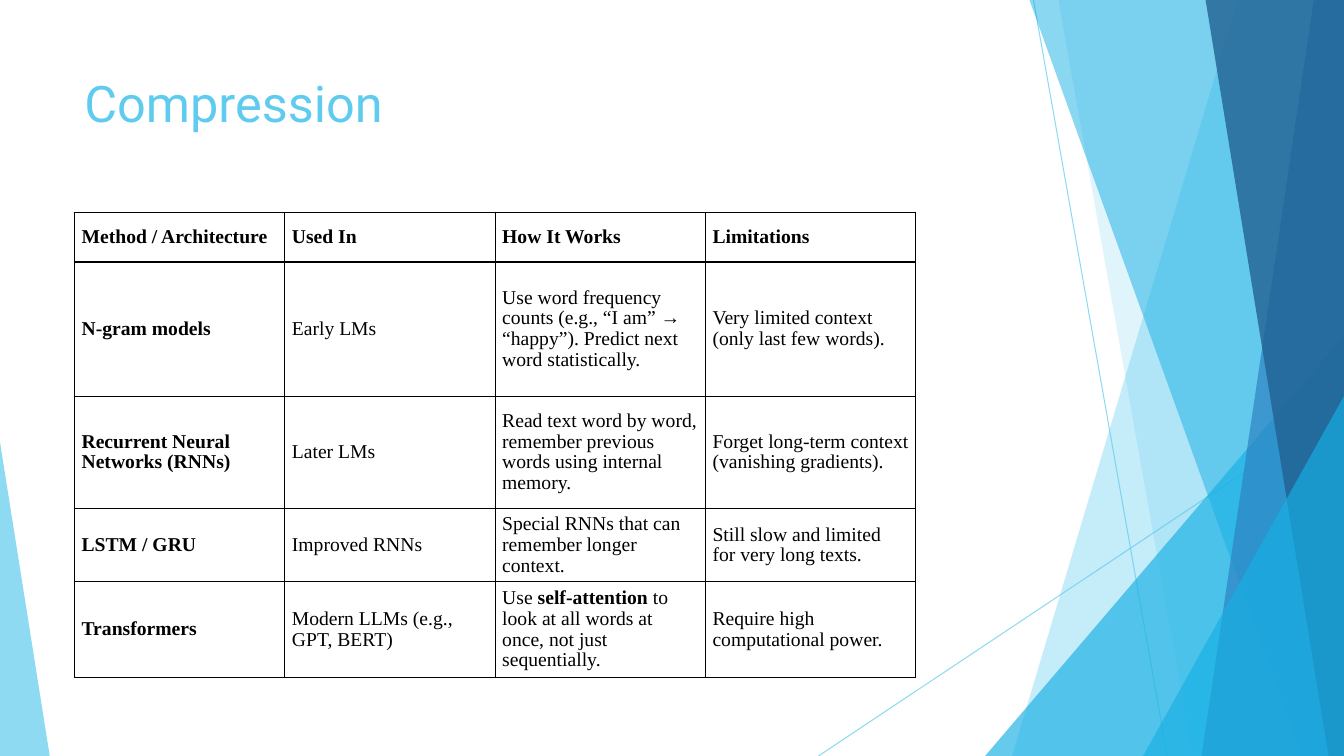
from dataclasses import dataclass

from lxml import etree
from pptx import Presentation
from pptx import util as u
from pptx.dml.color import RGBColor
from pptx.enum import shapes, text
from pptx.oxml import parse_xml
from pptx.oxml.ns import nsdecls, qn


@dataclass(frozen=True)
class Theme:
    sky: str = "5FCBEF"
    cyan: str = "17B0E4"
    blue: str = "2E83C3"
    navy: str = "226292"
    ink: str = "000000"
    title_font: str = "Roboto"
    table_font: str = "Times New Roman"
    title_size: int = 36
    table_size: int = 14
    hairline: float = 0.75
    border: int = 1
    line_spacing: float = 0.95


def apply_format(target, values):
    for name, value in values.items():
        setattr(target, name, value)


def set_opacity(fill_parent, percent):
    color = next(fill_parent.iter(qn("a:srgbClr")))
    etree.SubElement(color, qn("a:alpha")).set("val", str(percent * 1000))


class SlideBuilder:
    """Draws on one slide; every length is a percentage of its width or height."""

    def __init__(self, presentation, theme):
        self.theme = theme
        self.width = presentation.slide_width
        self.height = presentation.slide_height
        self.slide = presentation.slides.add_slide(presentation.slide_layouts[6])
        self.shapes = self.slide.shapes

    def x(self, percent):
        return round(self.width * percent / 100)

    def y(self, percent):
        return round(self.height * percent / 100)

    def box(self, left, top, width, height):
        return self.x(left), self.y(top), self.x(width), self.y(height)

    def paint(self, shape, color, opacity):
        shape.shadow.inherit = False
        shape.fill.solid()
        shape.fill.fore_color.rgb = RGBColor.from_string(color)
        set_opacity(shape._element.spPr, opacity)
        shape.line.fill.background()

    def hairline(self, start, end):
        connector = self.shapes.add_connector(
            shapes.MSO_CONNECTOR.STRAIGHT,
            self.x(start[0]), self.y(start[1]), self.x(end[0]), self.y(end[1]))
        connector.line.width = u.Pt(self.theme.hairline)
        connector.line.color.rgb = RGBColor.from_string(self.theme.sky)
        properties = connector._element.spPr
        set_opacity(properties, 70)
        etree.SubElement(properties, qn("a:effectLst"))

    def ribbon(self, top_left, bottom_left, color, opacity):
        """Full-height band from a slanted left edge to the slide's right edge."""
        outline = self.shapes.build_freeform(self.x(top_left), 0)
        outline.add_line_segments([
            (self.width, 0), (self.width, self.height),
            (self.x(bottom_left), self.height)], close=True)
        self.paint(outline.convert_to_shape(), color, opacity)

    def corner(self, left, right, top, apex, color, opacity):
        """Right triangle standing on the bottom edge, its tip at share apex."""
        triangle = self.shapes.add_shape(
            shapes.MSO_SHAPE.ISOSCELES_TRIANGLE,
            *self.box(left, top, right - left, 100 - top))
        triangle.adjustments[0] = apex
        self.paint(triangle, color, opacity)

    def add_runs(self, paragraph, wording, font, size, color, bold=False):
        """Add runs to a paragraph; ** switches bold on and off."""
        for index, part in enumerate(wording.split("**")):
            run = paragraph.add_run()
            run.text = part
            apply_format(run.font, {
                "name": font, "size": u.Pt(size), "bold": bold or index % 2 == 1})
            run.font.color.rgb = RGBColor.from_string(color)

    def title(self, wording, *place):
        frame = self.shapes.add_textbox(*self.box(*place)).text_frame
        apply_format(frame, {"word_wrap": True,
                             "vertical_anchor": text.MSO_ANCHOR.TOP})
        theme = self.theme
        self.add_runs(frame.paragraphs[0], wording,
                      theme.title_font, theme.title_size, theme.sky)

    def border(self, cell):
        properties = cell._tc.get_or_add_tcPr()
        for side in ("lnL", "lnR", "lnT", "lnB"):
            properties.append(parse_xml(
                f'<a:{side} {nsdecls("a")} w="{u.Pt(self.theme.border)}">'
                f'<a:solidFill><a:srgbClr val="{self.theme.ink}"/></a:solidFill>'
                f'</a:{side}>'))

    def table(self, rows, left, top, column_width, row_heights):
        column_count = len(rows[0])
        place = self.box(left, top, column_width * column_count, sum(row_heights))
        table = self.shapes.add_table(len(rows), column_count, *place).table
        apply_format(table, {"first_row": False, "horz_banding": False})
        for column in table.columns:
            column.width = self.x(column_width)
        theme = self.theme
        for r, (wordings, height) in enumerate(zip(rows, row_heights)):
            table.rows[r].height = self.y(height)
            for c, wording in enumerate(wordings):
                cell = table.cell(r, c)
                self.border(cell)
                cell.fill.background()
                apply_format(cell, {
                    "vertical_anchor": text.MSO_ANCHOR.MIDDLE,
                    "margin_left": u.Inches(0.07), "margin_right": u.Inches(0.07),
                    "margin_top": u.Inches(0.03), "margin_bottom": u.Inches(0.03)})
                paragraph = cell.text_frame.paragraphs[0]
                paragraph.line_spacing = theme.line_spacing
                self.add_runs(paragraph, wording, theme.table_font,
                              theme.table_size, theme.ink, bold=r == 0 or c == 0)


METHODS = [
    ("Method / Architecture", "Used In", "How It Works", "Limitations"),
    ("N-gram models", "Early LMs",
     "Use word frequency counts (e.g., “I am” → “happy”). "
     "Predict next word statistically.",
     "Very limited context (only last few words)."),
    ("Recurrent Neural Networks (RNNs)", "Later LMs",
     "Read text word by word, remember previous words using internal memory.",
     "Forget long-term context (vanishing gradients)."),
    ("LSTM / GRU", "Improved RNNs",
     "Special RNNs that can remember longer context.",
     "Still slow and limited for very long texts."),
    ("Transformers", "Modern LLMs (e.g., GPT, BERT)",
     "Use **self-attention** to look at all words at once, not just sequentially.",
     "Require high computational power."),
]


def main():
    presentation = Presentation()
    presentation.slide_width = u.Inches(13.33)
    presentation.slide_height = u.Inches(7.5)
    theme = Theme()
    builder = SlideBuilder(presentation, theme)

    builder.hairline((76.9, 0), (86.85, 100))
    builder.hairline((100, 53.7), (60.9, 100))
    builder.ribbon(92.1, 75.3, theme.sky, 36)
    builder.ribbon(78.75, 88.75, theme.sky, 20)
    builder.corner(73.3, 100, 44.4, 1, theme.cyan, 66)
    builder.ribbon(76.6, 96.85, theme.cyan, 50)
    builder.ribbon(97.75, 89.4, theme.blue, 70)
    builder.ribbon(89.7, 98.85, theme.navy, 80)
    builder.corner(85.05, 100, 52.4, 1, theme.cyan, 66)
    builder.corner(0, 3.7, 58.5, 0, theme.sky, 70)

    builder.title("Compression", 5.55, 8.95, 70.5, 19.2)
    builder.table(METHODS, left=5.55, top=28.1, column_width=15.65,
                  row_heights=(6.55, 17.75, 14.9, 9.5, 12.3))
    presentation.save("out.pptx")


if __name__ == "__main__":
    main()
